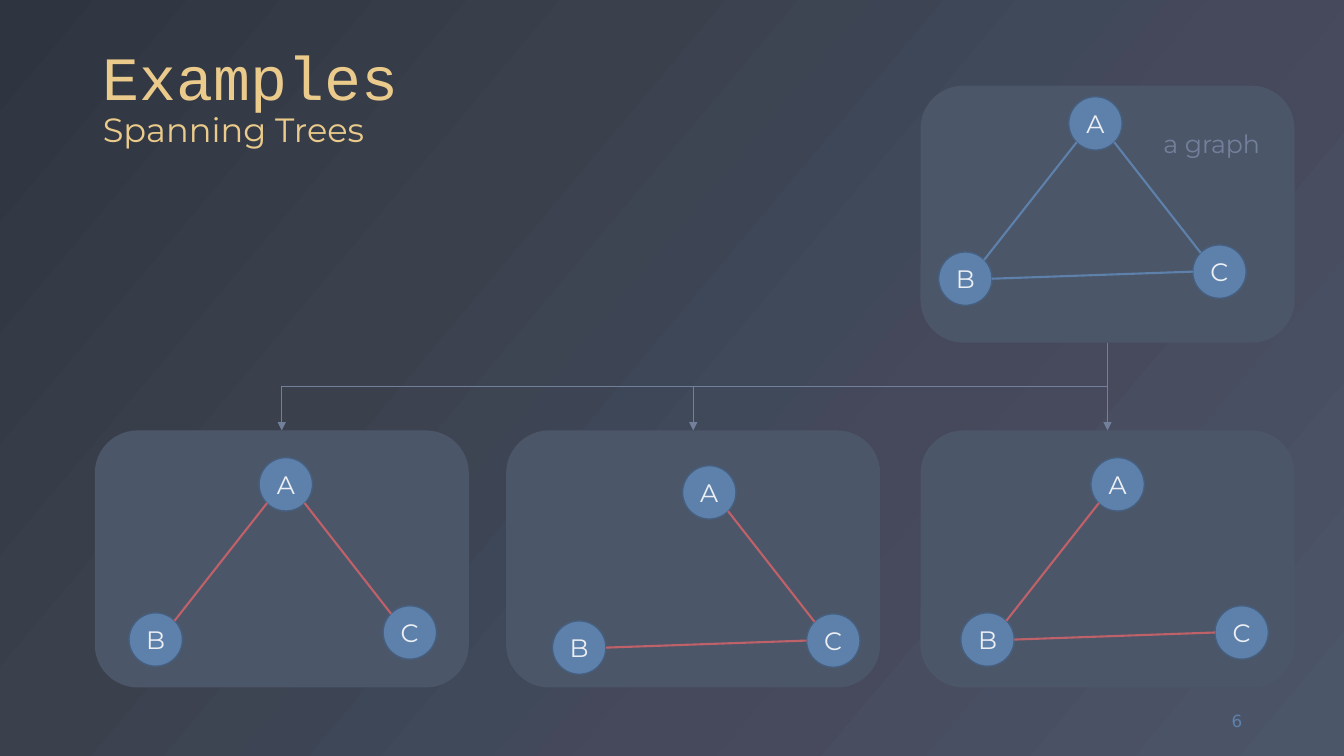
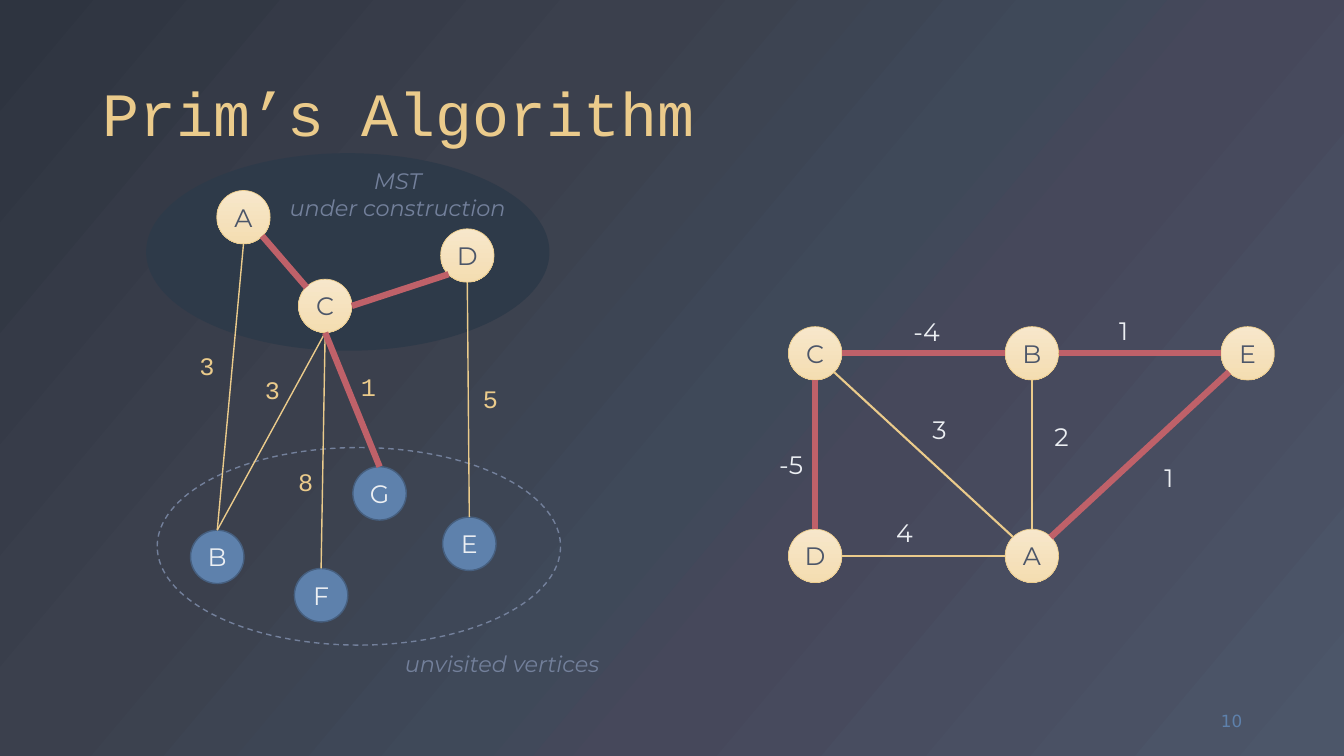
from lxml.etree import SubElement
from pptx import Presentation
from pptx.dml.color import RGBColor
from pptx.enum.dml import MSO_LINE
from pptx.enum.shapes import MSO_CONNECTOR, MSO_SHAPE
from pptx.enum.text import MSO_ANCHOR, MSO_AUTO_SIZE, PP_ALIGN
from pptx.oxml.ns import qn
from pptx.util import Inches, Pt

HEX = {
    "panel": "4C5669", "tree_area": "2E3A49", "muted": "73809B",
    "blue": "5E81AC", "blue_edge": "465F7F", "light": "ECEFF3",
    "yellow": "EBCB8B", "red": "BF6169",
    "cream_top": "F7E7CB", "cream_bottom": "F4DDB1",
}
C = {name: RGBColor.from_string(value) for name, value in HEX.items()}
BACKGROUND = [(0, "2E3440"), (33, "3B404D"), (55, "3F4959"), (63, "46485B"), (100, "4C5669")]

# Text looks: colour, alignment, font attributes
LOOKS = {
    "title": ("yellow", PP_ALIGN.LEFT, {"name": "Courier New", "size": Pt(44)}),
    "subtitle": ("yellow", PP_ALIGN.LEFT, {"name": "Montserrat", "size": Pt(24)}),
    "number": ("blue", PP_ALIGN.RIGHT, {"name": "DejaVu Sans", "size": Pt(12)}),
    "open": ("light", PP_ALIGN.CENTER, {"name": "Montserrat", "size": Pt(18)}),
    "visited": ("panel", PP_ALIGN.CENTER, {"name": "Montserrat", "size": Pt(18)}),
    "caption": ("muted", PP_ALIGN.LEFT, {"name": "Montserrat", "size": Pt(18)}),
    "area": ("muted", PP_ALIGN.CENTER, {"name": "Montserrat", "size": Pt(16), "italic": True}),
    "weight": ("light", PP_ALIGN.LEFT, {"name": "Montserrat", "size": Pt(18)}),
    "cut_weight": ("yellow", PP_ALIGN.LEFT, {"name": "Courier New", "size": Pt(18)}),
}

# Attachment points of a vertex as fractions of its diameter
NODE = 0.53
SITES = {
    "n": (0.5, 0), "s": (0.5, 1), "w": (0, 0.5), "e": (1, 0.5),
    "nw": (0.15, 0.15), "ne": (0.85, 0.15), "sw": (0.15, 0.85), "se": (0.85, 0.85),
}


def write(p, text, look):
    color, align, attrs = LOOKS[look]
    p.alignment = align
    r = p.add_run()
    r.text = text
    r.font.color.rgb = C[color]
    for name, value in attrs.items():
        setattr(r.font, name, value)


def draw_graph(s, nodes, edges, dx=0, dy=0):
    """Draw nodes {letter: (x, y, look)} and edges (colour, points, "A se B nw"), moved by dx, dy."""
    for letter, (x, y, look) in nodes.items():
        node = s.shapes.add_shape(MSO_SHAPE.OVAL, Inches(x + dx), Inches(y + dy),
                                  Inches(NODE), Inches(NODE))
        node.shadow.inherit = False
        if look == "visited":
            node.fill.gradient()
            node.fill.gradient_angle = 270
            for stop, name in zip(node.fill.gradient_stops, ("cream_top", "cream_bottom")):
                stop.color.rgb = C[name]
            node.line.color.rgb, node.line.width = C["yellow"], Pt(0.5)
        else:
            node.fill.solid()
            node.fill.fore_color.rgb = C["blue"]
            node.line.color.rgb, node.line.width = C["blue_edge"], Pt(1)
        tf = node.text_frame
        tf.margin_left = tf.margin_right = 0
        tf.vertical_anchor = MSO_ANCHOR.MIDDLE
        write(tf.paragraphs[0], letter, look)

    for color, width, route in edges:
        start, start_site, end, end_site = route.split()
        ends = []
        for letter, site in ((start, start_site), (end, end_site)):
            for origin, shift, part in zip(nodes[letter], (dx, dy), SITES[site]):
                ends.append(Inches(origin + shift + part * NODE))
        edge = s.shapes.add_connector(MSO_CONNECTOR.STRAIGHT, *ends)
        edge.line.color.rgb, edge.line.width = C[color], Pt(width)
        SubElement(edge._element.spPr, qn("a:effectLst"))


prs = Presentation()
prs.slide_width, prs.slide_height = Inches(13.33), Inches(7.5)

# Shared background and title frame
master = prs.slide_master
master.background.fill.gradient()
master.background.fill.gradient_angle = 320
stops = master._element.find(".//" + qn("a:gsLst"))
for old in list(stops):
    stops.remove(old)
for percent, value in BACKGROUND:
    stop = SubElement(stops, qn("a:gs"), pos=str(percent * 1000))
    SubElement(stop, qn("a:srgbClr"), val=value)

layout = prs.slide_layouts[5]
title = layout.placeholders[0]
title.left, title.top, title.width, title.height = map(Inches, (0.92, 0.18, 11.5, 1.36))
title.text_frame.vertical_anchor = MSO_ANCHOR.BOTTOM
title.text_frame.auto_size = MSO_AUTO_SIZE.NONE

slides = []
for heading, subtitle, number in (("Examples", "Spanning Trees", "6"),
                                  ("Prim’s Algorithm", None, "10")):
    s = prs.slides.add_slide(layout)
    p = s.shapes.title.text_frame.paragraphs[0]
    p.line_spacing = 0.9
    write(p, heading, "title")
    if subtitle:
        p.add_line_break()
        write(p, subtitle, "subtitle")
    tf = s.shapes.add_textbox(Inches(11.59), Inches(6.95), Inches(0.83), Inches(0.4)).text_frame
    tf.word_wrap = True
    tf.vertical_anchor = MSO_ANCHOR.MIDDLE
    write(tf.paragraphs[0], number, "number")
    slides.append(s)
examples, prim = slides

# Examples: one graph and its three spanning trees
PANEL_W, PANEL_H = 3.71, 2.55
GRAPH_X, GRAPH_Y, TREE_Y = 9.13, 0.85, 4.27
TREE_XS = (0.94, 5.02, GRAPH_X)
panels = []
for x, y in [(GRAPH_X, GRAPH_Y)] + [(x, TREE_Y) for x in TREE_XS]:
    panel = examples.shapes.add_shape(MSO_SHAPE.ROUNDED_RECTANGLE, Inches(x), Inches(y),
                                      Inches(PANEL_W), Inches(PANEL_H))
    panel.shadow.inherit = False
    panel.fill.solid()
    panel.fill.fore_color.rgb = C["panel"]
    panel.line.fill.background()
    panels.append(panel)

graph, *trees = panels
for tree in trees:
    straight = tree.left == graph.left
    kind = MSO_CONNECTOR.STRAIGHT if straight else MSO_CONNECTOR.ELBOW
    arrow = examples.shapes.add_connector(kind, 0, 0, 0, 0)
    arrow.begin_connect(graph, 2)
    arrow.end_connect(tree, 0)
    if not straight:  # a quarter turn makes the elbow leave downwards
        run, drop = arrow.width, arrow.height
        mid_x, mid_y = arrow.left + run // 2, arrow.top + drop // 2
        arrow.left, arrow.top = mid_x - drop // 2, mid_y - run // 2
        arrow.width, arrow.height = drop, run
        xfrm = arrow._element.spPr.find(qn("a:xfrm"))
        xfrm.flipH, xfrm.rot = False, 90
    arrow.line.color.rgb, arrow.line.width = C["muted"], Pt(0.5)
    SubElement(arrow._element.spPr.find(qn("a:ln")), qn("a:tailEnd"), type="triangle")
    SubElement(arrow._element.spPr, qn("a:effectLst"))

triangle = {"A": (10.6, 0.96, "open"), "B": (9.31, 2.5, "open"), "C": (11.83, 2.43, "open")}
AB, AC, BC = "A sw B ne", "A se C nw", "B e C w"
for dx, dy, color, routes in (
    (0, 0, "blue", (AB, AC, BC)),
    (-8.03, 3.58, "red", (AB, AC)),
    (-3.83, 3.66, "red", (AC, BC)),
    (0.22, 3.58, "red", (AB, BC)),
):
    draw_graph(examples, triangle, [(color, 1.5, route) for route in routes], dx, dy)

# Prim's algorithm: the cut on the left, the finished tree on the right
for x, y, filled in ((1.45, 1.52, True), (1.56, 4.44, False)):
    area = prim.shapes.add_shape(MSO_SHAPE.OVAL, Inches(x), Inches(y), Inches(4), Inches(1.96))
    area.shadow.inherit = False
    if filled:
        area.fill.solid()
        area.fill.fore_color.rgb = C["tree_area"]
        area.line.fill.background()
    else:
        area.fill.background()
        area.line.color.rgb, area.line.width = C["muted"], Pt(1)
        area.line.dash_style = MSO_LINE.DASH
# The title stays in front of the filled area
prim.shapes._spTree.append(prim.shapes.title._element)

cut_nodes = {
    "A": (2.15, 1.89, "visited"), "C": (2.96, 2.77, "visited"), "D": (4.37, 2.27, "visited"),
    "B": (1.89, 5.26, "open"), "E": (4.39, 5.13, "open"),
    "F": (2.92, 5.64, "open"), "G": (3.5, 4.63, "open"),
}
cut_edges = [("yellow", 1, route) for route in ("C s B n", "C s F n", "A s B n", "D s E n")]
cut_edges += [("red", 4.5, route) for route in ("A se C nw", "D sw C e", "C s G n")]
draw_graph(prim, cut_nodes, cut_edges)

LEFT, MIDDLE, RIGHT, TOP, BOTTOM = 7.82, 9.97, 12.11, 3.24, 5.25
tree_nodes = {
    "C": (LEFT, TOP, "visited"), "B": (MIDDLE, TOP, "visited"), "E": (RIGHT, TOP, "visited"),
    "D": (LEFT, BOTTOM, "visited"), "A": (MIDDLE, BOTTOM, "visited"),
}
tree_edges = [("yellow", 1.5, route) for route in ("A n B s", "A nw C se", "A w D e")]
tree_edges += [("red", 4.5, route) for route in ("A ne E sw", "B e E w", "C e B w", "D n C s")]
draw_graph(prim, tree_nodes, tree_edges)

# Captions and edge weights
for s, x, y, w, text, look in (
    (examples, 11.44, 1.22, 1.18, "a graph", "caption"),
    (prim, 2.76, 1.61, 2.37, "MST\nunder construction", "area"),
    (prim, 3.9, 6.4, 2.16, "unvisited vertices", "area"),
    (prim, 1.88, 3.43, 0.34, "3", "cut_weight"),
    (prim, 2.53, 3.66, 0.34, "3", "cut_weight"),
    (prim, 2.86, 4.58, 0.34, "8", "cut_weight"),
    (prim, 3.48, 3.63, 0.34, "1", "cut_weight"),
    (prim, 4.69, 3.75, 0.34, "5", "cut_weight"),
    (prim, 10.36, 4.13, 0.35, "2", "weight"),
    (prim, 9.15, 4.06, 0.35, "3", "weight"),
    (prim, 8.79, 5.08, 0.37, "4", "weight"),
    (prim, 7.63, 4.41, 0.44, "-5", "weight"),
    (prim, 8.96, 3.09, 0.46, "-4", "weight"),
    (prim, 11.45, 4.54, 0.29, "1", "weight"),
    (prim, 11, 3.08, 0.29, "1", "weight"),
):
    lines = text.split("\n")
    h = 0.4 if len(lines) == 1 else 0.64
    tf = s.shapes.add_textbox(Inches(x), Inches(y), Inches(w), Inches(h)).text_frame
    tf.word_wrap = False
    for i, line in enumerate(lines):
        write(tf.add_paragraph() if i else tf.paragraphs[0], line, look)

prs.save("out.pptx")
